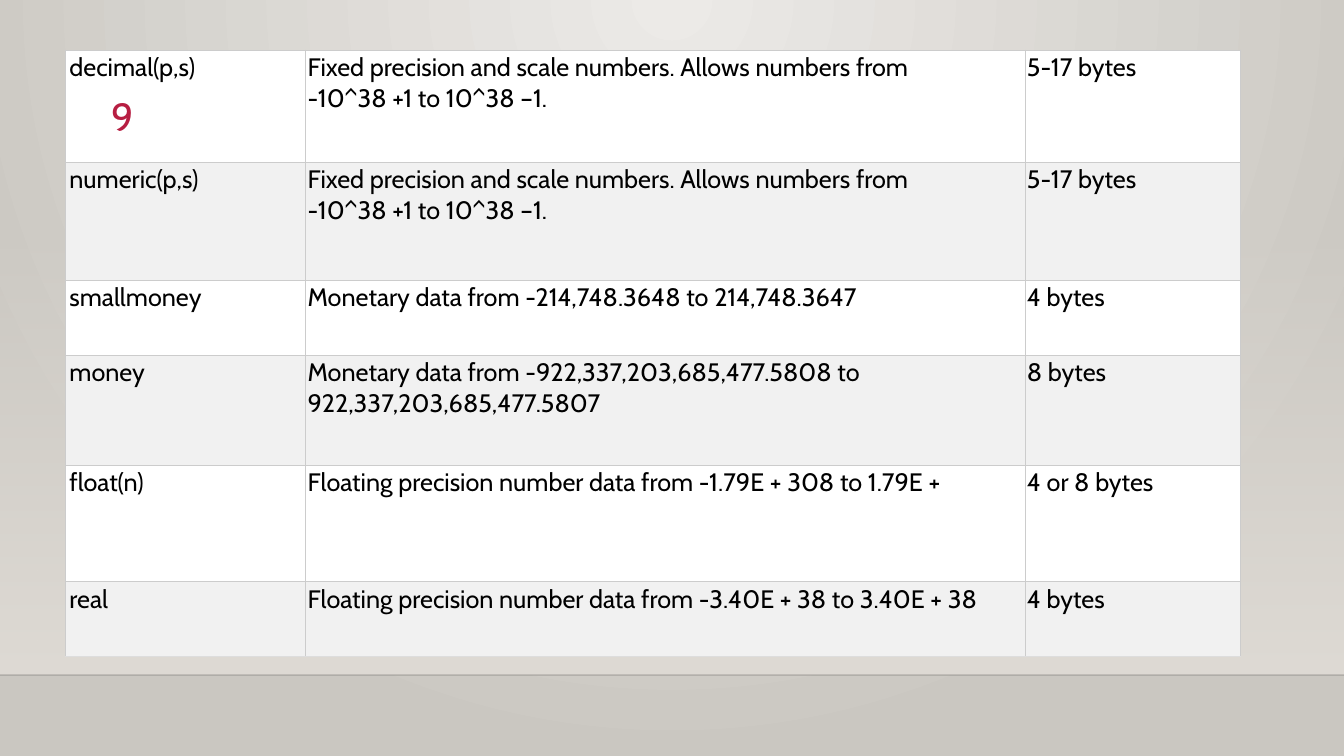
from pptx import Presentation
from pptx.dml.color import RGBColor
from pptx.enum.shapes import MSO_CONNECTOR as Conn, MSO_SHAPE as Shape
from pptx.enum.text import MSO_ANCHOR as Anchor, PP_ALIGN as Align
from pptx.oxml import parse_xml
from pptx.oxml.ns import nsdecls
from pptx.util import Cm, Pt

BLACK = RGBColor(0x00, 0x00, 0x00)
WHITE = RGBColor(0xFF, 0xFF, 0xFF)
BAND = RGBColor(0xF1, 0xF1, 0xF1)
RED = RGBColor(0xB7, 0x1E, 0x42)
LIGHT = RGBColor(0xEC, 0xEA, 0xE7)
DARK = RGBColor(0xCA, 0xC7, 0xC1)
SAND = RGBColor(0xDF, 0xDB, 0xD5)
EDGE = RGBColor(0xCC, 0xCC, 0xCC)
FOOT = RGBColor(0xDD, 0xDD, 0xDD)


def put(frame, text, size=18, color=BLACK, align=Align.LEFT):
    frame.word_wrap = True
    para = frame.paragraphs[0]
    para.text = text
    para.alignment = align
    for run in para.runs:
        run.font.name = "Cabin"
        run.font.size = Pt(size)
        run.font.color.rgb = color


def node(tag, inner="", attrs=""):
    return parse_xml(f'<a:{tag} {nsdecls("a")} {attrs}>{inner}</a:{tag}>')


prs = Presentation()
prs.slide_width, prs.slide_height = Cm(33.87), Cm(19.05)
slide = prs.slides.add_slide(prs.slide_layouts[6])
shapes = slide.shapes

# Background glow from the top centre
back = slide.background.fill
back.gradient()
for stop, color in zip(back.gradient_stops, (LIGHT, DARK)):
    stop.color.rgb = color
lin = slide.element.xpath(".//p:bg//a:lin")[0]
focus = '<a:fillToRect l="43000" t="0" r="43000" b="100000"/>'
lin.getparent().replace(lin, node("path", focus, 'path="circle"'))

# Wall that fades in towards the floor
wall = shapes.add_shape(Shape.RECTANGLE, 0, Cm(5.61), prs.slide_width, Cm(11.4))
wall.shadow.inherit = False
wall.line.fill.background()
wall.fill.gradient()
wall.fill.gradient_angle = 270
for stop in wall.fill.gradient_stops:
    stop.color.rgb = SAND
wall.element.xpath(".//a:gs/a:srgbClr")[0].append(node("alpha", attrs='val="0"'))

# Floor line
floor = shapes.add_connector(Conn.STRAIGHT, 0, Cm(17.01), prs.slide_width, Cm(17.01))
floor.line.width = Pt(1)
floor.line.color.rgb = BLACK
floor.element.xpath(".//a:ln//a:srgbClr")[0].append(node("alpha", attrs='val="20000"'))
floor.element.spPr.append(node("effectLst"))

# Table of data types
fixed = "Fixed precision and scale numbers. Allows numbers from\v-10^38 +1 to 10^38 –1."
rows = [
    (2.82, "decimal(p,s)", fixed, "5-17 bytes"),
    (2.98, "numeric(p,s)", fixed, "5-17 bytes"),
    (1.88, "smallmoney", "Monetary data from -214,748.3648 to 214,748.3647", "4 bytes"),
    (2.77, "money",
     "Monetary data from -922,337,203,685,477.5808 to 922,337,203,685,477.5807", "8 bytes"),
    (2.94, "float(n)",
     "Floating precision number data from -1.79E + 308 to 1.79E +", "4 or 8 bytes"),
    (1.88, "real",
     "Floating precision number data from -3.40E + 38 to 3.40E + 38", "4 bytes"),
]
wide = (6.05, 18.13, 5.44)
grid = shapes.add_table(len(rows), len(wide), Cm(1.65), Cm(1.27),
                        Cm(sum(wide)), Cm(sum(row[0] for row in rows))).table
grid.first_row = grid.horz_banding = False
for col, width in zip(grid.columns, wide):
    col.width = Cm(width)

for r, (height, *texts) in enumerate(rows):
    grid.rows[r].height = Cm(height)
    for c, text in enumerate(texts):
        cell = grid.cell(r, c)
        cell.margin_left = Cm(0.05 if c else 0.1)
        cell.margin_right = cell.margin_top = cell.margin_bottom = Cm(0.05)
        cell.fill.solid()
        cell.fill.fore_color.rgb = BAND if r % 2 else WHITE
        put(cell.text_frame, text)
        props = cell._tc.get_or_add_tcPr()
        for i, side in enumerate("LRTB"):
            tint = FOOT if side == "B" and r == len(rows) - 1 else EDGE
            ink = f'<a:solidFill><a:srgbClr val="{tint}"/></a:solidFill>'
            props.insert(i, node("ln" + side, ink, f'w="{Pt(0.75)}"'))

# Slide number
box = shapes.add_textbox(Cm(1.35), Cm(2.21), Cm(2.26), Cm(1.4))
box.text_frame.vertical_anchor = Anchor.MIDDLE
put(box.text_frame, "9", size=28, color=RED, align=Align.RIGHT)

prs.save("out.pptx")
